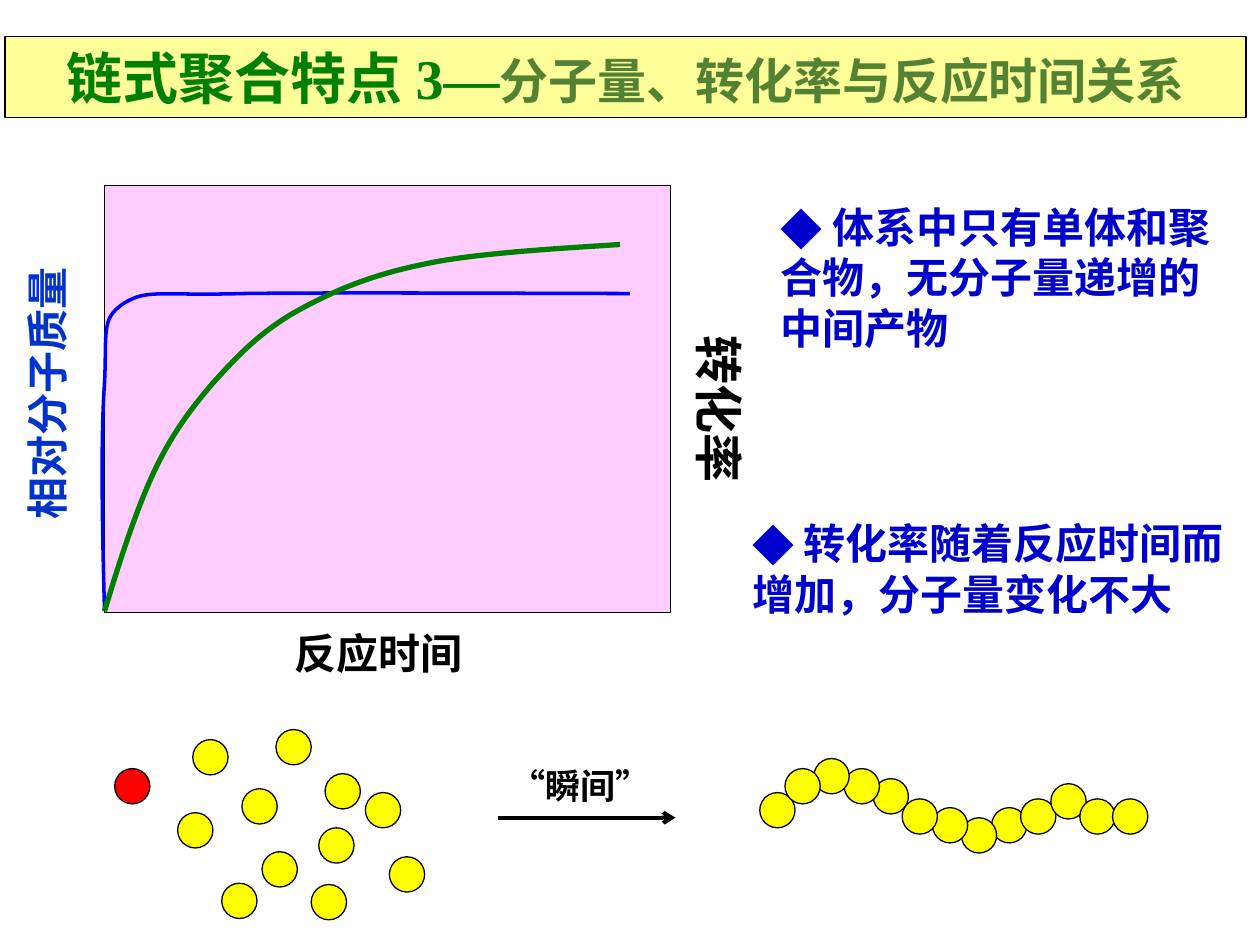
from typing import NamedTuple

import pptx
import pptx.dml.color
import pptx.enum.shapes
import pptx.enum.text
import pptx.oxml
import pptx.oxml.ns
import pptx.util
from pptx.util import Inches

RGB = pptx.dml.color.RGBColor
BLACK = RGB(0, 0, 0)
CREAM = RGB(0xFF, 0xFF, 0x99)
PINK = RGB(0xFF, 0xCC, 0xFF)
RED = RGB(0xFF, 0, 0)
YELLOW = RGB(0xFF, 0xFF, 0)
GREEN = RGB(0, 0x80, 0)
OLIVE = RGB(0x54, 0x82, 0x35)
CURVE_BLUE = RGB(0, 0, 0xFF)
LABEL_BLUE = RGB(0, 0x33, 0xCC)
POINT_BLUE = RGB(0, 0, 0xCC)

CJK = "Noto Sans CJK SC"
BALL = 0.28
SHAPES = pptx.enum.shapes.MSO_SHAPE


class Label(NamedTuple):
    text: str
    box: tuple
    size: int
    color: RGB = BLACK
    font: str = "Arial"
    rotation: int = 0
    wrap: bool = True
    bullet: bool = False


class Curve(NamedTuple):
    color: RGB
    width: float
    start: tuple
    controls: list


LABELS = [
    Label("反应时间", (2.24, 4.93, 1.81, 0.5), 24),
    Label("相对分子质量", (-0.89, 2.71, 2.52, 0.5), 24, LABEL_BLUE, rotation=270),
    Label("转化率", (5, 2.99, 1.42, 0.57), 28, rotation=90),
    Label("“瞬间”", (3.95, 6.02, 1.32, 0.44), 20, font=CJK, wrap=False),
    Label(" 体系中只有单体和聚合物，无分子量递增的中间产物",
          (6.1, 1.55, 3.7, 1.31), 24, POINT_BLUE, CJK, bullet=True),
    Label(" 转化率随着反应时间而增加，分子量变化不大",
          (5.87, 4.06, 4.02, 0.91), 24, POINT_BLUE, CJK, bullet=True),
]

# Each three control points make one cubic segment.
CURVES = [
    Curve(CURVE_BLUE, 2, (0.83, 4.85), [
        (0.81, 4.15), (0.8, 3.45), (0.83, 3.04),
        (0.85, 2.63), (0.8, 2.53), (0.98, 2.41),
        (1.17, 2.29), (1.26, 2.35), (1.93, 2.33),
        (2.6, 2.32), (4.49, 2.33), (5, 2.33)]),
    Curve(GREEN, 3, (0.83, 4.85), [
        (0.95, 4.45), (1.08, 4.05), (1.22, 3.75),
        (1.36, 3.45), (1.51, 3.25), (1.69, 3.04),
        (1.88, 2.83), (2.05, 2.65), (2.32, 2.49),
        (2.6, 2.33), (2.91, 2.19), (3.35, 2.1),
        (3.78, 2), (4.66, 1.96), (4.92, 1.94)]),
]

INITIATOR = (0.91, 6.1)
MONOMERS = [(1.53, 5.87), (2.19, 5.79), (1.41, 6.45), (1.92, 6.26),
            (2.58, 6.14), (2.08, 6.76), (2.53, 6.57), (1.76, 7.01),
            (2.9, 6.29), (2.47, 7.02), (3.09, 6.8)]
CHAIN = [(6.03, 6.29), (7.87, 6.41), (7.63, 6.49), (7.4, 6.41), (7.16, 6.34),
         (6.93, 6.18), (8.1, 6.34), (6.7, 6.1), (6.46, 6.02), (6.23, 6.1),
         (8.34, 6.22), (8.57, 6.34), (8.83, 6.34)]


def style_run(run, size: int, color: RGB, font: str) -> None:
    values = {"size": pptx.util.Pt(size), "bold": True, "name": font}
    for name, value in values.items():
        setattr(run.font, name, value)
    run.font.color.rgb = color
    east_asian = pptx.oxml.ns.qn("a:ea")
    run.font._element.find(pptx.oxml.ns.qn("a:latin")).addnext(
        run.font._element.makeelement(east_asian, {"typeface": CJK}))


def outline(shape, fill: RGB) -> None:
    shape.fill.solid()
    shape.fill.fore_color.rgb = fill
    shape.line.color.rgb = BLACK
    shape.line.width = pptx.util.Pt(0.75)


def add_filled(shapes, kind, box: tuple, fill: RGB) -> None:
    shape = shapes.add_shape(kind, *map(Inches, box))
    shape.shadow.inherit = False
    outline(shape, fill)


def add_balls(shapes, corners: list, fill: RGB = YELLOW) -> None:
    for corner in corners:
        add_filled(shapes, SHAPES.OVAL, (*corner, BALL, BALL), fill)


def add_label(shapes, label: Label) -> None:
    box = shapes.add_textbox(*map(Inches, label.box))
    box.rotation = label.rotation
    box.text_frame.word_wrap = label.wrap
    paragraph = box.text_frame.paragraphs[0]
    if label.bullet:
        properties = paragraph._p.get_or_add_pPr()
        for tag, attribute, value in (("a:buFont", "typeface", CJK),
                                      ("a:buChar", "char", "◆")):
            bullet = pptx.oxml.ns.qn(tag)
            properties.append(properties.makeelement(bullet, {attribute: value}))
    run = paragraph.add_run()
    run.text = label.text
    style_run(run, label.size, label.color, label.font)


def add_curve(shapes, curve: Curve) -> None:
    """Draw the control polygon, then turn its sides into cubic segments."""
    builder = shapes.build_freeform(*map(Inches, curve.start))
    builder.add_line_segments(
        [(Inches(x), Inches(y)) for x, y in curve.controls], close=False)
    shape = builder.convert_to_shape()
    shape.shadow.inherit = False
    shape.fill.background()
    shape.line.color.rgb = curve.color
    shape.line.width = pptx.util.Pt(curve.width)
    sides = list(shape._element.iter(pptx.oxml.ns.qn("a:lnTo")))
    outline_path = sides[0].getparent()
    for first in range(0, len(sides), 3):
        cubic = outline_path.makeelement(pptx.oxml.ns.qn("a:cubicBezTo"), {})
        outline_path.append(cubic)
        for side in sides[first:first + 3]:
            cubic.append(side[0])
            outline_path.remove(side)


def add_arrow(shapes, start: tuple, end: tuple) -> None:
    arrow = shapes.add_connector(pptx.enum.shapes.MSO_CONNECTOR.STRAIGHT,
                                 *map(Inches, start + end))
    arrow.line.color.rgb = BLACK
    arrow.line.width = pptx.util.Pt(2.25)
    line = arrow.line._get_or_add_ln()
    line.append(line.makeelement(pptx.oxml.ns.qn("a:tailEnd"), {"type": "arrow"}))
    line.addnext(line.makeelement(pptx.oxml.ns.qn("a:effectLst"), {}))


def set_title(title) -> None:
    for name, value in zip(("left", "top", "width", "height"),
                           (0.04, 0.29, 9.85, 0.64)):
        setattr(title, name, Inches(value))
    outline(title, CREAM)
    title.text_frame.vertical_anchor = pptx.enum.text.MSO_ANCHOR.MIDDLE
    title.text_frame.word_wrap = True
    paragraph = title.text_frame.paragraphs[0]
    paragraph.alignment = pptx.enum.text.PP_ALIGN.CENTER
    for text, size, color in (("链式聚合特点 3—", 32, GREEN),
                              ("分子量、转化率与反应时间关系", 28, OLIVE)):
        run = paragraph.add_run()
        run.text = text
        style_run(run, size, color, "Times New Roman")


def main() -> None:
    deck = pptx.Presentation()
    deck.slide_width, deck.slide_height = Inches(10), Inches(7.5)
    slide = deck.slides.add_slide(deck.slide_layouts[5])
    shapes = slide.shapes
    set_title(shapes.title)
    add_filled(shapes, SHAPES.RECTANGLE, (0.83, 1.47, 4.49, 3.39), PINK)
    for curve in CURVES:
        add_curve(shapes, curve)
    add_balls(shapes, [INITIATOR], RED)
    add_balls(shapes, MONOMERS)
    add_arrow(shapes, (3.95, 6.49), (5.36, 6.49))
    add_balls(shapes.add_group_shape().shapes, CHAIN)
    for label in LABELS:
        add_label(shapes, label)
    deck.save("out.pptx")


if __name__ == "__main__":
    main()
